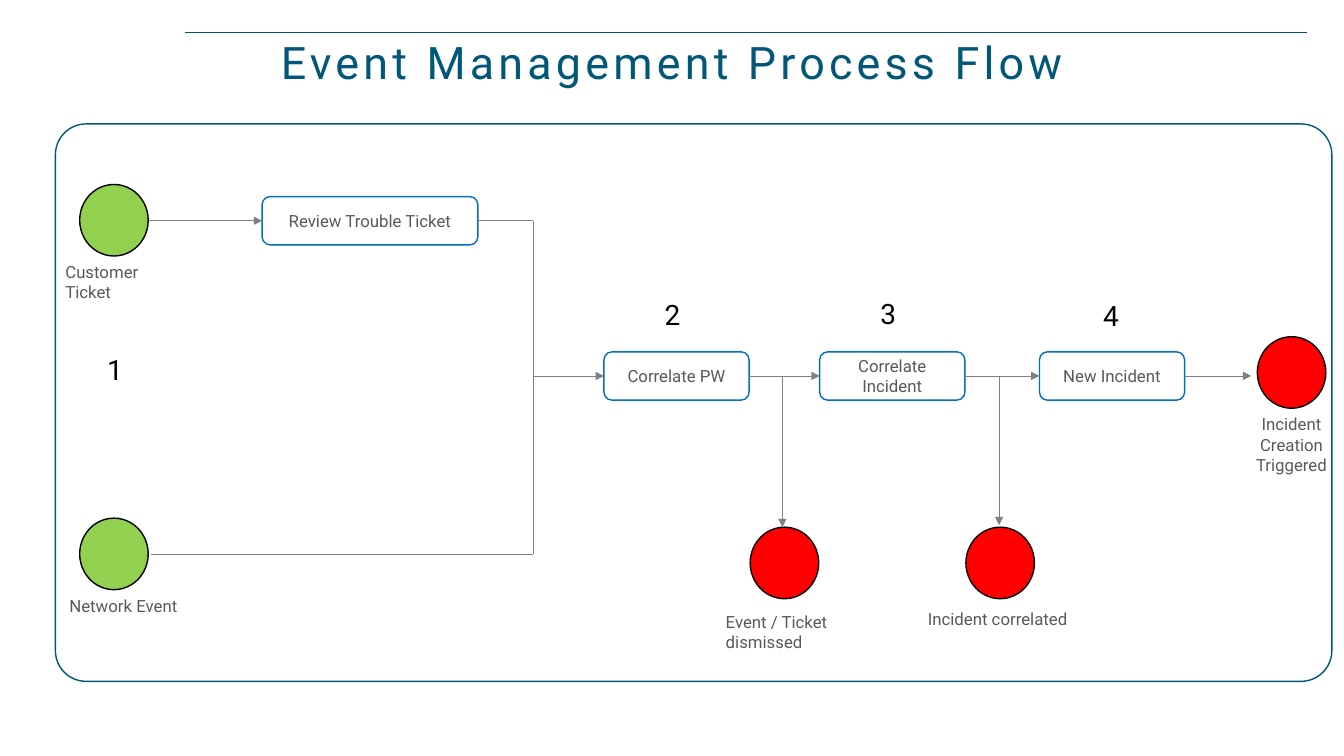
from lxml.etree import SubElement
from pptx import Presentation
from pptx.dml.color import RGBColor
from pptx.enum.shapes import MSO_CONNECTOR as Connector, MSO_SHAPE as Shape
from pptx.enum.text import MSO_ANCHOR as Anchor, MSO_AUTO_SIZE as AutoSize, PP_ALIGN as Align
from pptx.oxml.ns import qn
from pptx.util import Pt

PX = 9144
FONT = "Roboto"
TEAL, BLUE, GREEN, RED = "005778", "0070C0", "92D050", "FF0000"
WHITE, BLACK, GREY, TEXT = "FFFFFF", "000000", "808080", "595959"
TOP, LEFT, BOTTOM, RIGHT = range(4)
MAIN_Y, REVIEW_Y, NETWORK_Y, MERGE_X = 373, 219, 550, 529


def color(value):
    """Turn a hex string into a colour."""
    return RGBColor.from_string(value)


def px(*lengths):
    """Turn px lengths into EMU."""
    return [length * PX for length in lengths]


def format_text(frame, text, size, font_color, align):
    """Write text and give every paragraph one format."""
    frame.text = text
    for paragraph in frame.paragraphs:
        paragraph.alignment = align
        paragraph.font.size = Pt(size)
        paragraph.font.name = FONT
        paragraph.font.color.rgb = color(font_color)


def add_title(slide, text):
    """Fill and place the title placeholder."""
    title = slide.shapes.title
    title.left, title.top, title.width, title.height = px(0, 32, 1333, 60)
    frame = title.text_frame
    frame.auto_size = AutoSize.NONE
    frame.vertical_anchor = Anchor.BOTTOM
    format_text(frame, text, 32, TEAL, Align.CENTER)
    paragraph = frame.paragraphs[0]
    paragraph.line_spacing = 0.8
    for run in paragraph.runs:
        run.font.element.set("spc", "300") if hasattr(run.font, "element") else run._r.get_or_add_rPr().set("spc", "300")


def add_outline(slide, kind, bounds, fill, line):
    """Add a filled preset shape with a thin outline."""
    shape = slide.shapes.add_shape(kind, *px(*bounds))
    shape.shadow.inherit = False
    shape.fill.solid()
    shape.fill.fore_color.rgb = color(fill)
    shape.line.color.rgb = color(line)
    shape.line.width = Pt(1)
    return shape


def add_event(slide, left, top, fill):
    """Add a start or end circle."""
    return add_outline(slide, Shape.FLOWCHART_CONNECTOR, (left, top, 68, 71), fill, BLACK)


def add_step(slide, left, middle, width, text):
    """Add a process step centred on a height."""
    step = add_outline(slide, Shape.ROUNDED_RECTANGLE, (left, middle - 24, width, 48), WHITE, BLUE)
    step.text_frame.word_wrap = True
    step.text_frame.vertical_anchor = Anchor.MIDDLE
    format_text(step.text_frame, text, 12, TEXT, Align.CENTER)
    return step


def add_label(slide, bounds, text, align=Align.LEFT, size=12, font_color=TEXT, wrap=True):
    """Add a text box."""
    frame = slide.shapes.add_textbox(*px(*bounds)).text_frame
    frame.word_wrap = wrap
    format_text(frame, text, size, font_color, align)


def add_line(slide, start, end, arrow=False, source=None, target=None, line=GREY, width=0.5):
    """Add a straight line, joined to the right of source and left of target."""
    connector = slide.shapes.add_connector(Connector.STRAIGHT, *px(*start, *end))
    if source is not None:
        connector.begin_connect(source, RIGHT)
    if target is not None:
        connector.end_connect(target, LEFT)
    connector.line.color.rgb = color(line)
    connector.line.width = Pt(width)
    properties = connector.element.spPr
    if arrow:
        SubElement(properties.find(qn("a:ln")), qn("a:tailEnd"), type="triangle")
    SubElement(properties, qn("a:effectLst"))


def main():
    """Build the process flow slide."""
    presentation = Presentation()
    presentation.slide_width, presentation.slide_height = px(1333, 750)
    slide = presentation.slides.add_slide(presentation.slide_layouts[5])

    add_line(slide, (184, 32), (1296, 32), line=TEAL, width=1)
    add_title(slide, "Event Management Process Flow")
    frame = add_outline(slide, Shape.ROUNDED_RECTANGLE, (55, 123, 1266, 553), WHITE, TEAL)
    frame.adjustments[0] = 0.055

    for left, top, fill in [(79, 183, GREEN), (79, 514, GREEN), (744, 523, RED),
                            (958, 523, RED), (1247, 334, RED)]:
        add_event(slide, left, top, fill)

    review = add_step(slide, 260, REVIEW_Y, 214, "Review Trouble Ticket")
    correlate_pw, correlate_incident, new_incident = [
        add_step(slide, left, MAIN_Y, 144, text)
        for left, text in [(599, "Correlate PW"), (813, "Correlate Incident"), (1031, "New Incident")]
    ]

    add_line(slide, (148, REVIEW_Y), (260, REVIEW_Y), True, target=review)
    add_line(slide, (474, REVIEW_Y), (MERGE_X, REVIEW_Y), source=review)
    add_line(slide, (150, NETWORK_Y), (MERGE_X, NETWORK_Y))
    add_line(slide, (MERGE_X, NETWORK_Y), (MERGE_X, REVIEW_Y))
    for start, end, source, target in [
        (MERGE_X, 599, None, correlate_pw),
        (743, 813, correlate_pw, correlate_incident),
        (957, 1031, correlate_incident, new_incident),
        (1175, 1241, new_incident, None),
    ]:
        add_line(slide, (start, MAIN_Y), (end, MAIN_Y), True, source, target)
    for x, bottom in [(776, 523), (991, 521)]:
        add_line(slide, (x, MAIN_Y), (x, bottom), True)

    add_label(slide, (55, 255, 120, 54), "Customer Ticket")
    add_label(slide, (59, 586, 133, 34), "Network Event", wrap=False)
    add_label(slide, (710, 602, 176, 54), "Event / Ticket dismissed")
    add_label(slide, (885, 599, 209, 30), "Incident correlated", Align.CENTER)
    add_label(slide, (1236, 406, 90, 71), "Incident\nCreation\nTriggered", Align.CENTER, wrap=False)
    for number, (left, top) in enumerate([(92, 345), (645, 290), (859, 289), (1080, 291)], 1):
        add_label(slide, (left, top, 44, 44), str(number), Align.CENTER, 20, BLACK)

    presentation.save("out.pptx")


if __name__ == "__main__":
    main()
